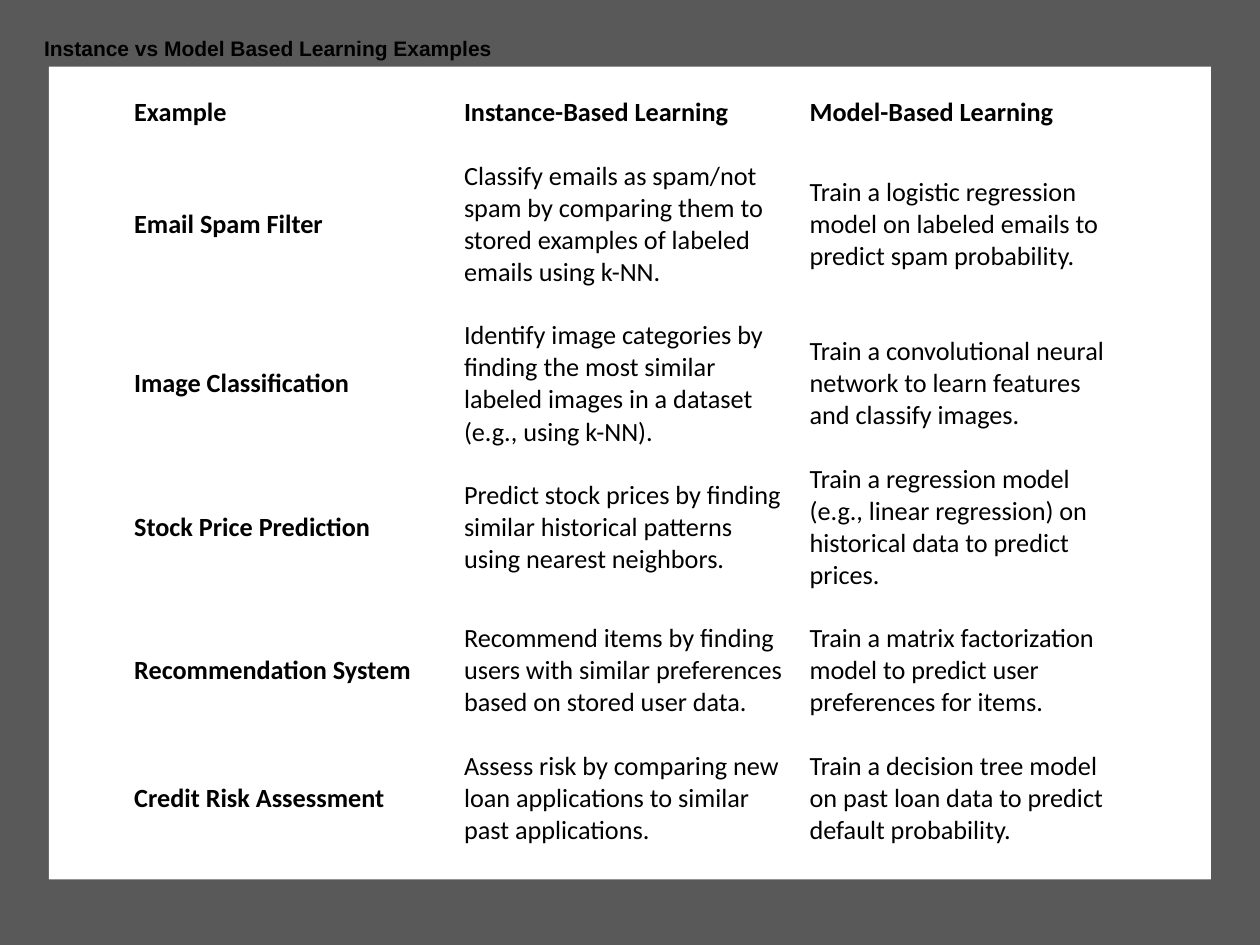
from pptx import Presentation
from pptx.dml.color import RGBColor
from pptx.enum.shapes import MSO_SHAPE
from pptx.enum.text import MSO_ANCHOR, PP_ALIGN
from pptx.util import Pt

RECTANGLE = MSO_SHAPE.RECTANGLE
TOP, MIDDLE = MSO_ANCHOR.TOP, MSO_ANCHOR.MIDDLE
LEFT = PP_ALIGN.LEFT

BLACK = RGBColor(0x00, 0x00, 0x00)
WHITE = RGBColor(0xFF, 0xFF, 0xFF)
GRAY = RGBColor(0x59, 0x59, 0x59)

TITLE = "Instance vs Model Based Learning Examples"
ROWS = [
    ("Example", "Instance-Based Learning", "Model-Based Learning"),
    ("Email Spam Filter",
     "Classify emails as spam/not spam by comparing them to stored examples "
     "of labeled emails using k-NN.",
     "Train a logistic regression model on labeled emails to predict spam "
     "probability."),
    ("Image Classification",
     "Identify image categories by finding the most similar labeled images "
     "in a dataset (e.g., using k-NN).",
     "Train a convolutional neural network to learn features and classify "
     "images."),
    ("Stock Price Prediction",
     "Predict stock prices by finding similar historical patterns using "
     "nearest neighbors.",
     "Train a regression model (e.g., linear regression) on historical data "
     "to predict prices."),
    ("Recommendation System",
     "Recommend items by finding users with similar preferences based on "
     "stored user data.",
     "Train a matrix factorization model to predict user preferences for "
     "items."),
    ("Credit Risk Assessment",
     "Assess risk by comparing new loan applications to similar past "
     "applications.",
     "Train a decision tree model on past loan data to predict default "
     "probability."),
]

SLIDE_WIDTH, SLIDE_HEIGHT = 720, 540
PANEL = (28, 38, 664, 464.5)
TABLE_LEFT, TABLE_TOP = 70.5, 50.4
COLUMN_WIDTHS = [188.5, 197.5, 193]
ROW_HEIGHTS = [28, 100, 82, 82, 82, 64]
CELL_MARGIN_X, CELL_MARGIN_Y = 6.2, 3.1


def style_font(font, name, size, bold):
    font.name = name
    font.size = Pt(size)
    font.bold = bold
    font.color.rgb = BLACK


def add_rectangle(slide, left, top, width, height, color):
    shape = slide.shapes.add_shape(
        RECTANGLE, Pt(left), Pt(top), Pt(width), Pt(height))
    shape.shadow.inherit = False
    shape.fill.solid()
    shape.fill.fore_color.rgb = color
    shape.line.fill.background()


def add_examples_table(slide):
    table = slide.shapes.add_table(
        len(ROWS), len(COLUMN_WIDTHS), Pt(TABLE_LEFT), Pt(TABLE_TOP),
        Pt(sum(COLUMN_WIDTHS)), Pt(sum(ROW_HEIGHTS))).table
    table.first_row = False
    table.horz_banding = False
    for column, width in zip(table.columns, COLUMN_WIDTHS):
        column.width = Pt(width)
    for row_index, (texts, height) in enumerate(zip(ROWS, ROW_HEIGHTS)):
        table.rows[row_index].height = Pt(height)
        for column_index, text in enumerate(texts):
            cell = table.cell(row_index, column_index)
            cell.fill.background()
            cell.vertical_anchor = MIDDLE
            cell.margin_left = cell.margin_right = Pt(CELL_MARGIN_X)
            cell.margin_top = cell.margin_bottom = Pt(CELL_MARGIN_Y)
            cell.text_frame.text = text
            is_heading = row_index == 0 or column_index == 0
            run = cell.text_frame.paragraphs[0].runs[0]
            style_font(run.font, "Calibri", 15, is_heading)


def set_title(slide):
    """Fill the title placeholder and bring it in front of the panels."""
    title = slide.shapes.title
    title.left, title.top, title.width, title.height = (
        Pt(18), Pt(16), Pt(273), Pt(49.5))
    frame = title.text_frame
    frame.text = TITLE
    frame.word_wrap = False
    frame.vertical_anchor = TOP
    frame.margin_left = frame.margin_right = Pt(7.2)
    frame.margin_top = frame.margin_bottom = Pt(4.5)
    paragraph = frame.paragraphs[0]
    paragraph.alignment = LEFT
    paragraph.space_after = Pt(6)
    style_font(paragraph.runs[0].font, "Arial", 12, True)
    slide.shapes.element.append(title.element)


def main():
    presentation = Presentation()
    presentation.slide_width = Pt(SLIDE_WIDTH)
    presentation.slide_height = Pt(SLIDE_HEIGHT)
    slide = presentation.slides.add_slide(presentation.slide_layouts[5])
    add_rectangle(slide, 0, 0, SLIDE_WIDTH, SLIDE_HEIGHT, GRAY)
    add_rectangle(slide, *PANEL, WHITE)
    add_examples_table(slide)
    set_title(slide)
    presentation.save("out.pptx")


if __name__ == "__main__":
    main()
